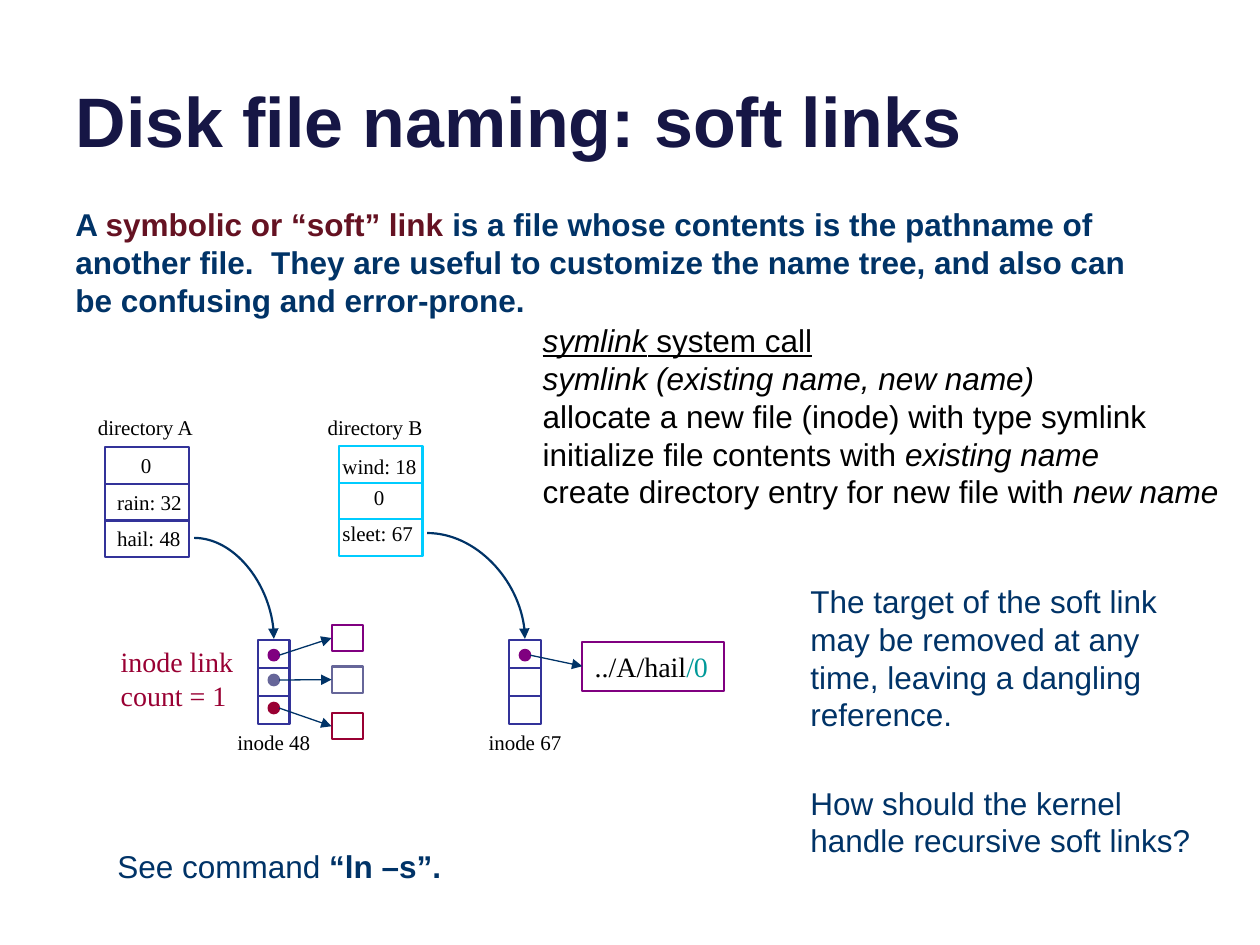
from lxml import etree
from pptx import Presentation
from pptx.dml.color import RGBColor
from pptx.enum.shapes import MSO_CONNECTOR, MSO_SHAPE
from pptx.enum.text import MSO_ANCHOR, MSO_AUTO_SIZE, PP_ALIGN
from pptx.oxml.ns import qn
from pptx.util import Pt

RECT, OVAL = MSO_SHAPE.RECTANGLE, MSO_SHAPE.OVAL
STRAIGHT, CURVE = MSO_CONNECTOR.STRAIGHT, MSO_CONNECTOR.CURVE
LEFT, CENTER = PP_ALIGN.LEFT, PP_ALIGN.CENTER
MIDDLE, BOTTOM = MSO_ANCHOR.MIDDLE, MSO_ANCHOR.BOTTOM
FIT, NO_FIT = MSO_AUTO_SIZE.SHAPE_TO_FIT_TEXT, MSO_AUTO_SIZE.NONE
LEFT_SIDE = 1

SANS, SERIF = "Arial", "Times New Roman"
BLACK, WHITE, NAVY, TITLE_INK = "000000", "FFFFFF", "003367", "161645"
INDIGO, CYAN, TEAL = "333399", "00CCFF", "009999"
PURPLE, SLATE, CRIMSON, MAROON = "800080", "666699", "990033", "651222"

CELL_W, CELL_H = 48, 20.9  # directory entries
SLOT_W, SLOT_H = 18, 16    # inode block pointers
DOT = 6
INODE_TOP = 365.8


def rgb(value):
    return RGBColor.from_string(value)


def write(frame, paragraphs, font, size, color, align=LEFT):
    """Each paragraph is a list of (text, style) runs."""
    for number, runs in enumerate(paragraphs):
        paragraph = frame.paragraphs[0] if number == 0 else frame.add_paragraph()
        paragraph.alignment = align
        for text, style in runs:
            run = paragraph.add_run()
            run.text = text
            run.font.name, run.font.size = font, Pt(size)
            run.font.color.rgb = rgb(style.get("color", color))
            run.font.bold = style.get("bold", False)
            run.font.italic = style.get("italic", False)
            run.font.underline = style.get("underline", False)


def add_text(slide, box, paragraphs, font=SANS, size=18, color=NAVY,
             align=LEFT, wrap=True):
    frame = slide.shapes.add_textbox(*map(Pt, box)).text_frame
    frame.word_wrap = wrap
    frame.auto_size = FIT
    write(frame, paragraphs, font, size, color, align)


def add_label(slide, left, top, width, text, align=LEFT):
    add_text(slide, (left, top, width, 21.6), [[(text, {})]], SERIF, 12,
             BLACK, align, wrap=False)


def add_block(slide, kind, box, color, fill=WHITE):
    block = slide.shapes.add_shape(kind, *map(Pt, box))
    block.shadow.inherit = False
    block.fill.solid()
    block.fill.fore_color.rgb = rgb(fill)
    block.line.color.rgb = rgb(color)
    block.line.width = Pt(1.25)
    return block


def add_line(slide, start, end, color, width=1.25, kind=STRAIGHT, arrow=False):
    line = slide.shapes.add_connector(kind, *map(Pt, (*start, *end)))
    line.line.color.rgb = rgb(color)
    line.line.width = Pt(width)
    if arrow:
        etree.SubElement(line.line._get_or_add_ln(), qn("a:tailEnd"), type="triangle")
    etree.SubElement(line._element.spPr, qn("a:effectLst"))
    return line


def add_stack(slide, left, top, cell_w, cell_h, color):
    """A column of three cells parted by two rules."""
    add_block(slide, RECT, (left, top, cell_w, 3 * cell_h), color)
    for row in (1, 2):
        y = top + row * cell_h
        add_line(slide, (left, y), (left + cell_w, y), color)


def add_directory(slide, left, top, color, entries):
    add_stack(slide, left, top, CELL_W, CELL_H, color)
    for text, x, y, width in entries:
        add_label(slide, x, y, width, text)


def add_inode(slide, left, name):
    add_stack(slide, left, INODE_TOP, SLOT_W, SLOT_H, INDIGO)
    add_label(slide, left - 19, 413.3, 56, name, CENTER)


def add_pointer(slide, inode_left, y, color, target):
    """A dot in an inode slot with an arrow to its data block."""
    dot_left = inode_left + (SLOT_W - DOT) / 2
    add_block(slide, OVAL, (dot_left, y - DOT / 2, DOT, DOT), color, color)
    arrow = add_line(slide, (dot_left + DOT, y), (target.left.pt, y), NAVY,
                     0.75, arrow=True)
    arrow.end_connect(target, LEFT_SIDE)


def add_reference(slide, start, inode_left):
    """A curved arrow from a directory entry down to its inode."""
    curve = add_line(slide, start, (inode_left + SLOT_W / 2, INODE_TOP - 0.7),
                     NAVY, kind=CURVE, arrow=True)
    curve._element.spPr.find(qn("a:prstGeom")).set("prst", "curvedConnector2")


def add_title(slide, text):
    title = slide.shapes.title
    title.left, title.top, title.width, title.height = map(Pt, (36, -26.6, 648, 122.4))
    frame = title.text_frame
    frame.vertical_anchor = BOTTOM
    frame.auto_size = NO_FIT
    write(frame, [[(text, {"bold": True})]], SANS, 40, TITLE_INK)


def main():
    prs = Presentation()
    prs.slide_width, prs.slide_height = Pt(720), Pt(540)
    slide = prs.slides.add_slide(prs.slide_layouts[5])
    add_title(slide, "Disk file naming: soft links")

    # Directories
    add_directory(slide, 60, 255.6, INDIGO, [
        ("0", 73.4, 254.9, 20.2), ("rain: 32", 59.8, 276.5, 51.8),
        ("hail: 48", 59.8, 296.6, 51.1)])
    add_label(slide, 48.2, 233.3, 69.8, "directory A", CENTER)
    add_directory(slide, 193.5, 255, CYAN, [
        ("wind: 18", 188.6, 255.6, 56.9), ("0", 206.6, 273.6, 20.2),
        ("sleet: 67", 188.6, 293.8, 54.7)])
    add_label(slide, 179.5, 233.3, 69.8, "directory B", CENTER)

    # Inode 48 and its data blocks
    inode48 = 147.5
    add_inode(slide, inode48, "inode 48")
    for dot_y, block_top, color in ((374.4, 357.1, PURPLE), (388.6, 380.9, SLATE),
                                    (404.6, 407.5, CRIMSON)):
        data = add_block(slide, RECT, (189.5, block_top, 18, 15), color)
        add_pointer(slide, inode48, dot_y, color, data)
    add_reference(slide, (110.9, 307.4), inode48)
    add_text(slide, (61.9, 365, 82.8, 46), [[("inode link", {})], [("count = 1", {})]],
             SERIF, 16, CRIMSON, wrap=False)

    # Inode 67 and the stored pathname
    inode67 = 291
    add_inode(slide, inode67, "inode 67")
    pathname = add_block(slide, RECT, (332.8, 366.7, 81, 28), PURPLE)
    pathname.text_frame.vertical_anchor = MIDDLE
    write(pathname.text_frame, [[("../A/hail", {}), ("/0", {"color": TEAL})]],
          SERIF, 16, BLACK)
    add_pointer(slide, inode67, 374.4, PURPLE, pathname)
    add_reference(slide, (244.1, 304.6), inode67)

    # Definition
    bold, italic = {"bold": True}, {"italic": True}
    add_text(slide, (36, 113.8, 624, 72.7), [[
        ("A ", bold),
        ("symbolic or “soft” link", {"bold": True, "color": MAROON}),
        (" is a file whose contents is the pathname of another file.  They are useful "
         "to customize the name tree, and also can be confusing and error-prone.", bold)]])

    # System call
    add_text(slide, (303, 180, 429, 115.2), [
        [("symlink", {"italic": True, "underline": True}),
         (" system call", {"underline": True})],
        [("symlink (existing name, new name)", italic)],
        [("allocate a new file (inode) with type symlink", {})],
        [("initialize file contents with ", {}), ("existing name", italic)],
        [("create directory entry for new file with ", {}), ("new name", italic)],
    ], color=BLACK)

    # Remarks
    add_text(slide, (456, 329, 240, 94.3), [[
        ("The target of the soft link may be removed at any time, "
         "leaving a dangling reference.", {})]])
    add_text(slide, (456, 444.2, 240, 51), [[
        ("How should the kernel handle recursive soft links?", {})]])
    add_text(slide, (60, 480.2, 342, 29), [[("See command", {}), (" “ln –s”.", bold)]])

    prs.save("out.pptx")


if __name__ == "__main__":
    main()
